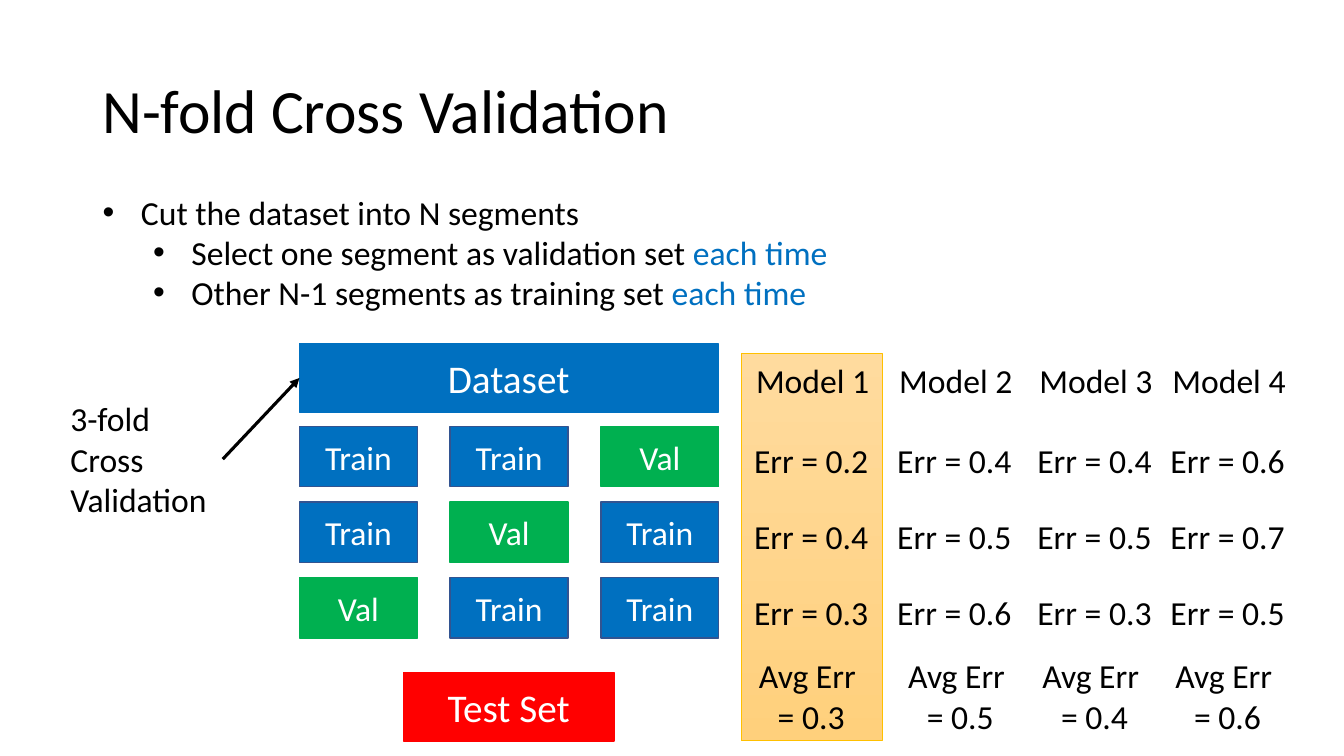
"""Build the N-fold cross validation slide."""
from lxml import etree
from pptx import Presentation
from pptx.dml.color import RGBColor
from pptx.enum.shapes import MSO_CONNECTOR, MSO_SHAPE
from pptx.enum.text import MSO_ANCHOR as Anchor, PP_ALIGN as Align
from pptx.oxml.ns import qn
from pptx.util import Inches, Pt

BLACK, WHITE, BLUE, GREEN, RED = "000000", "FFFFFF", "0070C0", "00B050", "FF0000"


def rgb(value):
    return RGBColor.from_string(value)


def write(shape, lines, size=24, color=BLACK, align=Align.LEFT, anchor=Anchor.TOP):
    frame = shape.text_frame
    frame.word_wrap = True
    frame.vertical_anchor = anchor
    frame.text = "\n".join(lines)
    for para in frame.paragraphs:
        para.alignment = align
        for span in para.runs:
            span.font.name = "Calibri"
            span.font.size = Pt(size)
            span.font.color.rgb = rgb(color)


deck = Presentation()
deck.slide_width, deck.slide_height = Inches(13.33), Inches(7.5)
page = deck.slides.add_slide(deck.slide_layouts[6])
shapes = page.shapes

title = shapes.add_textbox(Inches(0.92), Inches(0.4), Inches(11.5), Inches(1.45))
write(title, ["N-fold Cross Validation"], size=44, anchor=Anchor.MIDDLE)
title.text_frame.paragraphs[0].line_spacing = 0.9

highlight = shapes.add_shape(MSO_SHAPE.RECTANGLE, Inches(7.35), Inches(3.51), Inches(1.4), Inches(3.84))
highlight.shadow.inherit = False
highlight.fill.gradient()
highlight.fill.gradient_angle = 270
for stop, color in zip(highlight.fill.gradient_stops, ("FFDB9E", "FFD07C")):
    stop.color.rgb = rgb(color)
highlight.line.color.rgb = rgb("FFC000")
highlight.line.width = Pt(0.5)

blocks = [
    ("Dataset", 2.97, 3.41, 4.15, 0.68, BLUE, BLUE, 28),
    ("Test Set", 4, 6.67, 2.09, 0.68, RED, RED, 28),
]
for row in range(3):
    for column in range(3):
        held_out = row + column == 2
        label, fill, edge = ("Val", GREEN, GREEN) if held_out else ("Train", BLUE, "325491")
        blocks.append((label, 2.97 + 1.495 * column, 4.23 + 0.75 * row, 1.17, 0.6, fill, edge, 24))

rectangles = []
for label, left, top, width, height, fill, edge, size in blocks:
    box = shapes.add_shape(MSO_SHAPE.RECTANGLE, Inches(left), Inches(top), Inches(width), Inches(height))
    box.shadow.inherit = False
    box.fill.solid()
    box.fill.fore_color.rgb = rgb(fill)
    box.line.color.rgb = rgb(edge)
    box.line.width = Pt(1)
    write(box, [label], size, WHITE, Align.CENTER, Anchor.MIDDLE)
    rectangles.append(box)

models = [
    ("Model 1", 7.3, 7.3, ("0.2", "0.4", "0.3"), "0.3"),
    ("Model 2", 8.72, 8.78, ("0.4", "0.5", "0.6"), "0.5"),
    ("Model 3", 10.11, 10.11, ("0.4", "0.5", "0.3"), "0.4"),
    ("Model 4", 11.43, 11.43, ("0.6", "0.7", "0.5"), "0.6"),
]
for name, left, average_left, errors, average in models:
    heading = shapes.add_textbox(Inches(left + 0.1), Inches(3.52), Inches(1.38), Inches(0.5))
    write(heading, [name])
    for row, error in enumerate(errors):
        box = shapes.add_textbox(Inches(left), Inches(4.32 + 0.75 * row), Inches(1.49), Inches(0.5))
        write(box, [f"Err = {error}"], align=Align.CENTER)
    box = shapes.add_textbox(Inches(average_left), Inches(6.45), Inches(1.49), Inches(0.91))
    write(box, ["Avg Err ", f"= {average}"], align=Align.CENTER)

steps = shapes.add_textbox(Inches(0.92), Inches(1.85), Inches(11.5), Inches(1.31))
write(steps, [
    "Cut the dataset into N segments",
    "Select one segment as validation set ",
    "Other N-1 segments as training set ",
], align=Align.JUSTIFY)
for number, para in enumerate(steps.text_frame.paragraphs):
    para.level = min(number, 1)
    properties = para._p.get_or_add_pPr()
    properties.set("marL", str(Inches(0.38 + 0.5 * para.level)))
    properties.set("indent", str(-Inches(0.38)))
    etree.SubElement(properties, qn("a:buFont"), typeface="Arial")
    etree.SubElement(properties, qn("a:buChar"), char="•")
    if para.level:
        span = para.add_run()
        span.text = "each time"
        span.font.name = "Calibri"
        span.font.size = Pt(24)
        span.font.color.rgb = rgb(BLUE)

note = shapes.add_textbox(Inches(0.6), Inches(3.9), Inches(1.61), Inches(1.31))
write(note, ["3-fold", "Cross", "Validation"], align=Align.JUSTIFY)

arrow = shapes.add_connector(MSO_CONNECTOR.STRAIGHT, Inches(2.21), Inches(4.56), Inches(2.97), Inches(3.75))
arrow.begin_connect(note, 3)
arrow.end_connect(rectangles[0], 1)
arrow.line.color.rgb = rgb(BLACK)
arrow.line.width = Pt(2.25)
etree.SubElement(arrow.line._get_or_add_ln(), qn("a:tailEnd"), type="triangle")
etree.SubElement(arrow._element.spPr, qn("a:effectLst"))

deck.save("out.pptx")
